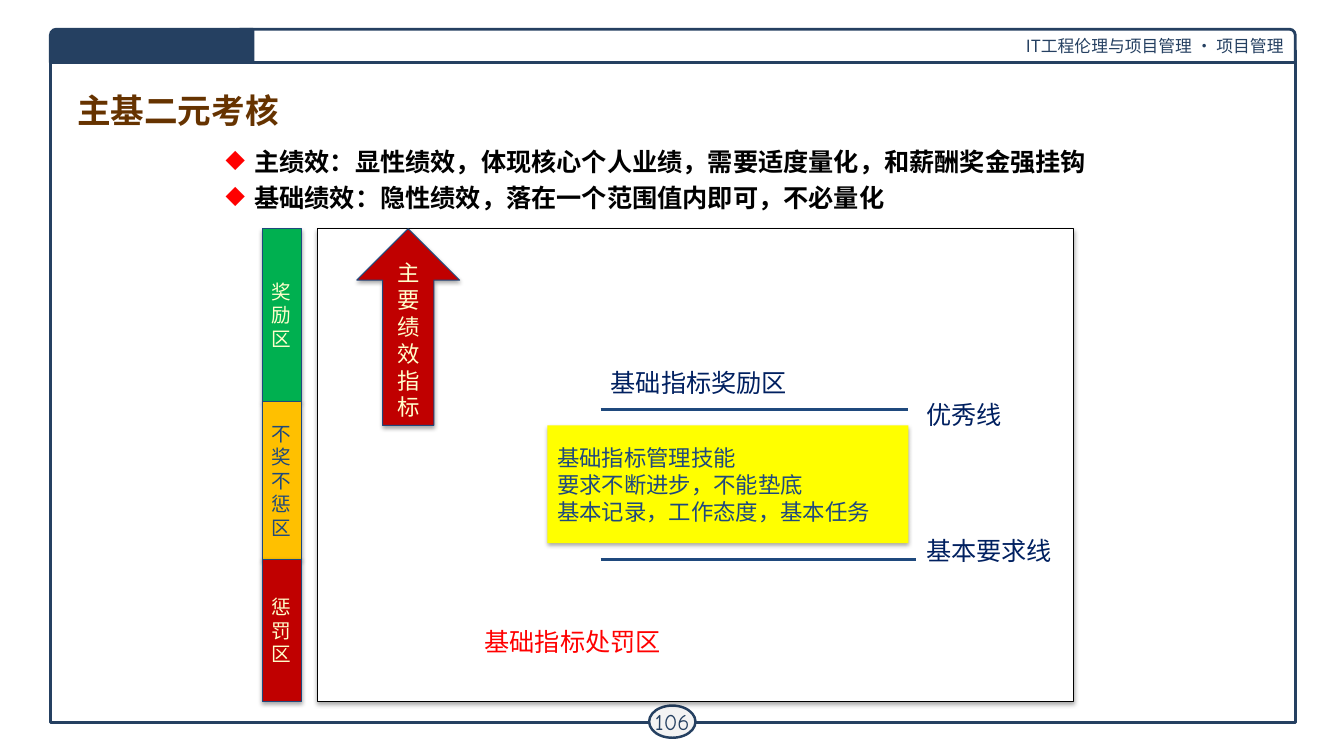
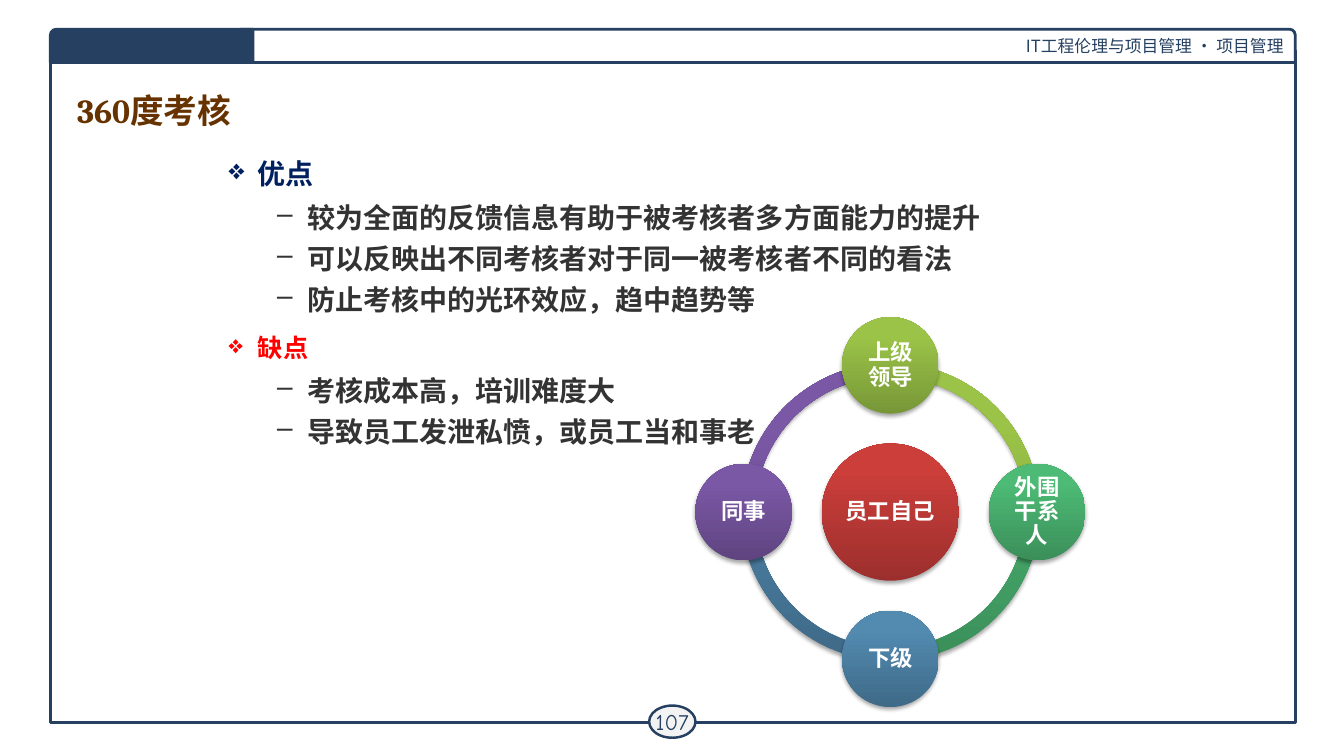
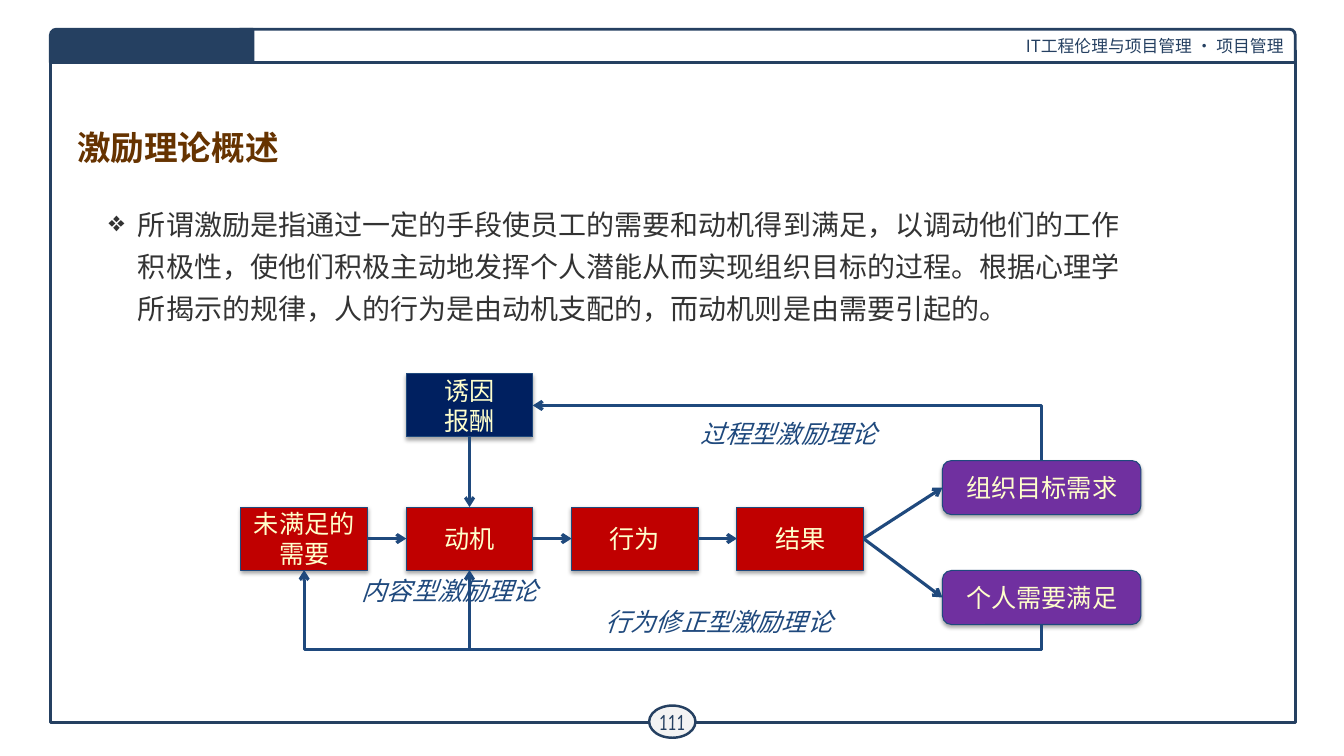
from dataclasses import dataclass

from lxml.etree import SubElement
from pptx import Presentation
from pptx.dml.color import RGBColor
from pptx.enum.shapes import MSO_CONNECTOR as Link, MSO_SHAPE as Preset
from pptx.enum.text import MSO_ANCHOR as Anchor, PP_ALIGN as Align
from pptx.oxml.ns import qn
from pptx.util import Pt


@dataclass(frozen=True)
class Theme:
    frame: str = "254061"
    badge: str = "F3F3F3"
    title: str = "663300"
    body: str = "333333"
    navy: str = "002060"
    blue: str = "1F497D"
    red: str = "FF0000"
    crimson: str = "C00000"
    green: str = "00B050"
    amber: str = "FFC000"
    yellow: str = "FFFF00"
    purple: str = "7030A0"
    cream: str = "FFFFCC"
    white: str = "FFFFFF"
    black: str = "000000"
    sans: str = "Noto Sans CJK SC"
    serif: str = "Cambria"
    number: str = "Comic Neue"
    title_size: int = 24
    body_size: int = 20
    label_size: int = 18
    note_size: int = 16
    zone_size: int = 14
    header_size: int = 12


THEME = Theme()
TOP, LEFT, BOTTOM, RIGHT = range(4)  # connection sites of a rectangle
HEADER = "IT工程伦理与项目管理 · 项目管理"

# Dual assessment
POINTS = [
    "主绩效：显性绩效，体现核心个人业绩，需要适度量化，和薪酬奖金强挂钩",
    "基础绩效：隐性绩效，落在一个范围值内即可，不必量化",
]
ZONES = [  # text, height, fill, text colour
    ("奖励区", 123.4, THEME.green, THEME.cream),
    ("不奖不惩区", 112.7, THEME.amber, THEME.blue),
    ("惩罚区", 101.5, THEME.crimson, THEME.cream),
]
MAIN_INDICATOR = "主要绩效指标"
BASIC_SKILLS = ["基础指标管理技能", "要求不断进步，不能垫底", "基本记录，工作态度，基本任务"]
THRESHOLDS = [(292.3, 648.7), (399.6, 654.5)]  # y, right end
BOARD_LABELS = [  # text, left, top, colour
    ("基础指标处罚区", 339, 444.2, THEME.red),
    ("基础指标奖励区", 429.1, 258.5, THEME.navy),
    ("优秀线", 654.5, 281.5, THEME.navy),
    ("基本要求线", 654.5, 378.7, THEME.navy),
]

# 360-degree assessment
REVIEW = [  # heading, size, colour, items
    ("优点", THEME.body_size, THEME.navy, [
        "较为全面的反馈信息有助于被考核者多方面能力的提升",
        "可以反映出不同考核者对于同一被考核者不同的看法",
        "防止考核中的光环效应，趋中趋势等",
    ]),
    ("缺点", THEME.label_size, THEME.red, [
        "考核成本高，培训难度大",
        "导致员工发泄私愤，或员工当和事老",
    ]),
]
SELF = ("员工自己", ("9C2F2D", "CB3E3A"))
REVIEWERS = [  # text, (dark, light), direction from the centre, start of arc
    ("上级领导", ("779737", "9BC348"), (0, -1), 270),
    ("外围干系人", ("3B8F5A", "4DBA75"), (1, 0), 0),
    ("下级", ("3F6A88", "528AB0"), (0, 1), 90),
    ("同事", ("5F4480", "7B58A6"), (-1, 0), 180),
]

# Motivation theory
DEFINITION = (
    "所谓激励是指通过一定的手段使员工的需要和动机得到满足，以调动他们的工作"
    "积极性，使他们积极主动地发挥个人潜能从而实现组织目标的过程。根据心理学"
    "所揭示的规律，人的行为是由动机支配的，而动机则是由需要引起的。"
)
STEPS = ["未满足的需要", "动机", "行为", "结果"]
INCENTIVE = ["诱因", "报酬"]
OUTCOMES = [("组织目标需求", 329), ("个人需要满足", 407.5)]
THEORIES = [
    ("内容型激励理论", 251.3, 407.5),
    ("行为修正型激励理论", 425.5, 429.8),
    ("过程型激励理论", 493.2, 295.2),
]


def rgb(value):
    return RGBColor.from_string(value)


def points(*values):
    return [Pt(value) for value in values]


def style(paragraph, size, color, font=THEME.sans, bold=False, italic=False,
          align=Align.LEFT, spacing=1.2):
    """Format a paragraph; spacing is the line pitch as a multiple of size."""
    paragraph.alignment = align
    paragraph.line_spacing = Pt(round(size * spacing, 1))
    for run in paragraph.runs:
        run.font.size = Pt(size)
        run.font.bold, run.font.italic = bold, italic
        run.font.color.rgb = rgb(color)
        run.font.name = font
        SubElement(run.font._element, qn("a:ea"), typeface=THEME.sans)


def bullet(paragraph, char, margin, hanging, color=None):
    properties = paragraph._p.get_or_add_pPr()
    properties.set("marL", str(Pt(margin)))
    properties.set("indent", str(-Pt(hanging)))
    if color:
        holder = SubElement(properties, qn("a:buClr"))
        SubElement(holder, qn("a:srgbClr"), val=color)
    SubElement(properties, qn("a:buChar"), char=char)


def write(shape, lines, size, color, anchor=Anchor.MIDDLE, wrap=True, inset=None, **look):
    frame = shape.text_frame
    frame.text = "\n".join(lines)
    frame.word_wrap = wrap
    frame.vertical_anchor = anchor
    if inset is not None:
        frame.margin_left = frame.margin_right = Pt(inset)
        frame.margin_top = frame.margin_bottom = Pt(inset)
    for paragraph in frame.paragraphs:
        style(paragraph, size, color, **look)


def add_text(slide, box, lines, size, color, **look):
    shape = slide.shapes.add_textbox(*points(*box))
    write(shape, lines, size, color, anchor=Anchor.TOP, **look)
    return shape


def add_label(slide, text, left, top, color, **look):
    box = (left, top, len(text) * THEME.label_size + 15, 28.8)
    add_text(slide, box, [text], THEME.label_size, color, wrap=False, **look)


def add_box(slide, preset, box, fill=None, line=None, width=0.75, shadow=True):
    """Add a preset shape; a pair of colours as fill makes a gradient, dark below."""
    shape = slide.shapes.add_shape(preset, *points(*box))
    shape.shadow.inherit = False
    if fill is None:
        shape.fill.background()
    elif isinstance(fill, tuple):
        shape.fill.gradient()
        shape.fill.gradient_angle = 90
        for stop, color, position in zip(shape.fill.gradient_stops, fill, (0, 0.8)):
            stop.color.rgb = rgb(color)
            stop.position = position
    else:
        shape.fill.solid()
        shape.fill.fore_color.rgb = rgb(fill)
    if line:
        shape.line.color.rgb = rgb(line)
        shape.line.width = Pt(width)
    else:
        shape.line.fill.background()
    if shadow:
        effects = shape.element.spPr.find(qn("a:effectLst"))
        outer = SubElement(effects, qn("a:outerShdw"), blurRad=str(Pt(3.1)),
                           dist=str(Pt(1.8)), dir="5400000", rotWithShape="0")
        color = SubElement(outer, qn("a:srgbClr"), val=THEME.black)
        SubElement(color, qn("a:alpha"), val="35000")
    return shape


def add_line(slide, start=(0, 0), end=(0, 0), kind=Link.STRAIGHT):
    line = slide.shapes.add_connector(kind, *points(*start, *end))
    line.line.color.rgb = rgb(THEME.blue)
    line.line.width = Pt(2.25)
    SubElement(line.element.spPr, qn("a:effectLst"))
    return line


def add_arrow(slide, source, source_site, target, target_site, kind=Link.STRAIGHT):
    arrow = add_line(slide, kind=kind)
    arrow.begin_connect(source, source_site)
    arrow.end_connect(target, target_site)
    SubElement(arrow.element.spPr.find(qn("a:ln")), qn("a:tailEnd"), type="arrow")
    return arrow


def add_elbow(slide, source, source_site, target, target_site, drop=None):
    """Arrow that leaves upright and ends up and left; drop first dips below."""
    arrow = add_arrow(slide, source, source_site, target, target_site, Link.ELBOW)
    across = abs(arrow.end_x - arrow.begin_x)
    rise = abs(arrow.end_y - arrow.begin_y)
    middle_x = (arrow.begin_x + arrow.end_x) // 2
    middle_y = (arrow.begin_y + arrow.end_y) // 2
    transform = arrow.element.spPr.find(qn("a:xfrm"))
    for flip in ("flipH", "flipV"):
        transform.attrib.pop(flip, None)
    transform.set("rot", "5400000")
    transform.set("flipH", "1")
    arrow.left, arrow.top = middle_x - rise // 2, middle_y - across // 2
    arrow.width, arrow.height = rise, across
    geometry = arrow.element.spPr.find(qn("a:prstGeom"))
    if drop is None:
        geometry.set("prst", "bentConnector2")
    else:
        guide = f"val {-round(Pt(drop) / rise * 100000)}"
        SubElement(geometry.find(qn("a:avLst")), qn("a:gd"), name="adj1", fmla=guide)


def start_slide(presentation, title, number, title_top=60.5):
    """Add a slide with the frame, header band, page badge and title."""
    slide = presentation.slides.add_slide(presentation.slide_layouts[6])

    def frame_part(preset, box, fill=None, width=2):
        return add_box(slide, preset, box, fill, THEME.frame, width, shadow=False)

    frame_part(Preset.RECTANGLE, (36, 36, 889.2, 480.2))
    band = frame_part(Preset.ROUND_1_RECTANGLE, (171.4, 20.9, 753.8, 23.8), THEME.white)
    write(band, [HEADER], THEME.header_size, THEME.frame, align=Align.RIGHT)
    badge = frame_part(Preset.OVAL, (463.7, 504, 33.1, 23), THEME.badge, 1.75)
    write(badge, [str(number)], THEME.note_size, THEME.frame, wrap=False, inset=2.9,
          font=THEME.number, align=Align.CENTER)
    corner = frame_part(Preset.ROUND_1_RECTANGLE, (36, 20.9, 144.7, 23.8), THEME.frame)
    corner.adjustments[0] = 0.175
    corner.element.spPr.find(qn("a:xfrm")).set("flipH", "1")
    add_text(slide, (48, title_top, 864, 34.6), [title], THEME.title_size, THEME.title,
             font=THEME.serif, bold=True)
    return slide


def build_dual_assessment(presentation):
    slide = start_slide(presentation, "主基二元考核", 106)
    board_top = 163.4
    add_box(slide, Preset.RECTANGLE, (226.8, board_top, 540, 337.6), THEME.white, THEME.black)

    top = board_top
    for text, height, fill, color in ZONES:
        zone = add_box(slide, Preset.RECTANGLE, (187.2, top, 28.1, height), fill, THEME.blue)
        write(zone, [text], THEME.zone_size, color, align=Align.CENTER)
        top += height

    for y, right in THRESHOLDS:
        add_line(slide, (429.1, y), (right, y))
    skills = add_box(slide, Preset.RECTANGLE, (391, 303.8, 257.8, 84.2), THEME.yellow)
    write(skills, BASIC_SKILLS, THEME.note_size, THEME.blue)
    arrow = add_box(slide, Preset.UP_ARROW, (254.9, board_top, 73.4, 140.4),
                    THEME.crimson, THEME.blue)
    write(arrow, [MAIN_INDICATOR], THEME.note_size, THEME.cream, align=Align.CENTER)
    for label in BOARD_LABELS:
        add_label(slide, *label)

    summary = add_text(slide, (154.1, 96.8, 658, 57.6), POINTS, THEME.label_size,
                       THEME.black, bold=True, spacing=1.44)
    for paragraph in summary.text_frame.paragraphs:
        bullet(paragraph, "◆", 20.5, 20.5, THEME.red)


def build_full_circle(presentation):
    slide = start_slide(presentation, "360度考核", 107)
    frame = slide.shapes.add_textbox(*points(156.2, 103.2, 642.2, 219.6)).text_frame
    frame.word_wrap = True
    rows = []
    for heading, size, color, items in REVIEW:
        rows.append((heading, size, color, ("❖", 20.9, 20.9), 7.2, 2.4))
        rows += [(item, THEME.body_size, THEME.body, ("–", 56.2, 21.6), 0.4, 0.1)
                 for item in items]
    for index, (text, size, color, mark, before, after) in enumerate(rows):
        paragraph = frame.add_paragraph() if index else frame.paragraphs[0]
        paragraph.text = text
        bullet(paragraph, *mark)
        style(paragraph, size, color, bold=True, spacing=1.44)
        paragraph.space_before = Pt(before if index else 0)
        paragraph.space_after = Pt(after)

    center_x, center_y, orbit = 636, 365.8, 104.8

    def around(x, y, diameter):
        return x - diameter / 2, y - diameter / 2, diameter, diameter

    def add_circle(text, fill, x, y, diameter):
        circle = add_box(slide, Preset.OVAL, around(x, y, diameter), fill)
        write(circle, [text], THEME.note_size, THEME.white, inset=1.4, bold=True,
              align=Align.CENTER, spacing=1.08)

    for _, fill, _, start in reversed(REVIEWERS):
        arc = add_box(slide, Preset.BLOCK_ARC, around(center_x, center_y, 213), fill)
        # Adjustment units: 0.6 per degree
        arc.adjustments[0] = start * 0.6
        arc.adjustments[1] = (start + 90) % 360 * 0.6
        arc.adjustments[2] = 0.046
    add_circle(*SELF, center_x, center_y, 98)
    for text, fill, (dx, dy), _ in REVIEWERS:
        add_circle(text, fill, center_x + dx * orbit, center_y + dy * orbit, 69)


def build_motivation(presentation):
    slide = start_slide(presentation, "激励理论概述", 111, title_top=87.1)
    definition = add_text(slide, (70.6, 139, 756, 108.7), [DEFINITION], THEME.body_size,
                          THEME.body, font=THEME.serif, spacing=1.5)
    bullet(definition.text_frame.paragraphs[0], "❖", 20.9, 20.9)

    def add_node(lines, box, fill, preset=Preset.RECTANGLE):
        node = add_box(slide, preset, box, fill, THEME.blue)
        write(node, lines, THEME.label_size, THEME.cream, align=Align.CENTER)
        return node

    first, pitch, width, height = 172.1, 118.1, 90.4, 45
    steps = [add_node([text], (first + index * pitch, 362.2, width, height), THEME.crimson)
             for index, text in enumerate(STEPS)]
    need, motive, _, result = steps
    outcomes = [add_node([text], (673.2, top, 141.8, 38.6), THEME.purple,
                         Preset.ROUNDED_RECTANGLE) for text, top in OUTCOMES]
    goal, satisfaction = outcomes
    incentive = add_node(INCENTIVE, (first + pitch, 267.1, width, height), THEME.navy)

    for source, target in zip(steps, steps[1:]):
        add_arrow(slide, source, RIGHT, target, LEFT)
    for outcome in outcomes:
        add_arrow(slide, result, RIGHT, outcome, LEFT)
    add_arrow(slide, incentive, BOTTOM, motive, TOP)
    add_elbow(slide, goal, TOP, incentive, RIGHT)
    for target in (need, motive):
        add_elbow(slide, satisfaction, BOTTOM, target, BOTTOM, drop=18)
    for text, left, top in THEORIES:
        add_label(slide, text, left, top, THEME.blue, italic=True)


def main():
    presentation = Presentation()
    presentation.slide_width, presentation.slide_height = points(960, 540)
    build_dual_assessment(presentation)
    build_full_circle(presentation)
    build_motivation(presentation)
    presentation.save("out.pptx")


if __name__ == "__main__":
    main()
